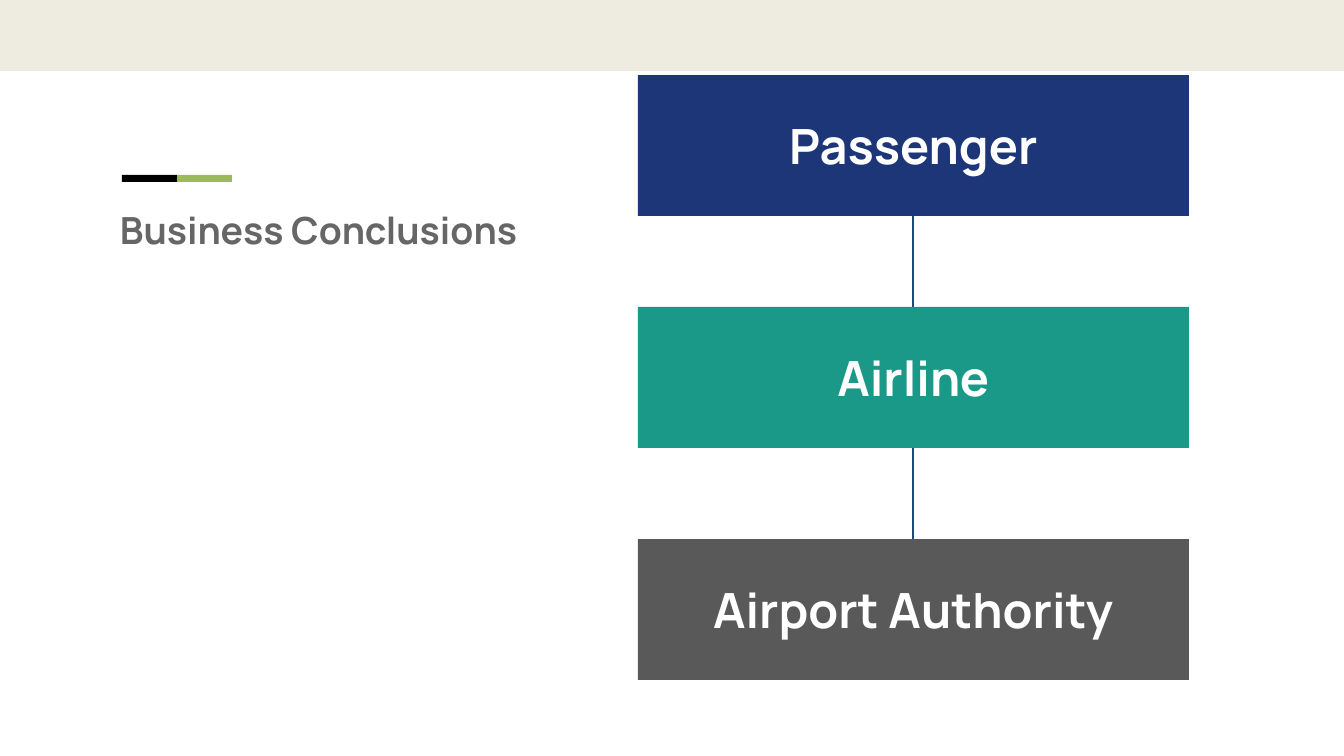
from dataclasses import dataclass

from lxml import etree
from pptx import Presentation
from pptx.dml.color import RGBColor
from pptx.enum.shapes import MSO_CONNECTOR, MSO_SHAPE
from pptx.enum.text import MSO_ANCHOR, MSO_AUTO_SIZE, PP_ALIGN
from pptx.oxml.ns import qn
from pptx.shapes.autoshape import Shape
from pptx.slide import Slide
from pptx.util import Emu, Pt

RECT, LINE = MSO_SHAPE.RECTANGLE, MSO_CONNECTOR.STRAIGHT
TOP, MIDDLE = MSO_ANCHOR.TOP, MSO_ANCHOR.MIDDLE
LEFT, CENTER = PP_ALIGN.LEFT, PP_ALIGN.CENTER
FIXED = MSO_AUTO_SIZE.NONE

WHITE = RGBColor(0xFF, 0xFF, 0xFF)
BLACK = RGBColor(0x00, 0x00, 0x00)
SAND = RGBColor(0xEE, 0xEC, 0xE1)
GREEN = RGBColor(0x9B, 0xBB, 0x59)
NAVY = RGBColor(0x1C, 0x36, 0x78)
TEAL = RGBColor(0x1A, 0x99, 0x88)
SLATE = RGBColor(0x59, 0x59, 0x59)
GREY = RGBColor(0x66, 0x66, 0x66)
BLUE = RGBColor(0x1F, 0x49, 0x7D)

SCALE = 6804
WIDTH, HEIGHT = 1344, 756
BOX_X, BOX_Y, BOX_W, BOX_H, STEP = 638, 75, 551, 141, 232


def px(count: int) -> Emu:
    """Turn whole pixels into EMU."""
    return Emu(count * SCALE)


FRAME = {
    "margin_left": px(13),
    "margin_right": px(13),
    "margin_top": px(13),
    "margin_bottom": px(13),
    "word_wrap": True,
    "auto_size": FIXED,
}
FONT = {"name": "Manrope", "bold": True}


@dataclass(frozen=True)
class Block:
    """A filled rectangle measured in pixels."""

    x: int
    y: int
    w: int
    h: int
    fill: RGBColor


@dataclass(frozen=True)
class Party:
    """One party in the chain."""

    name: str
    fill: RGBColor


BLOCKS = (
    Block(0, 0, WIDTH, 71, SAND),
    Block(177, 175, 55, 7, GREEN),
    Block(122, 175, 55, 7, BLACK),
)
CHAIN = (
    Party("Passenger", NAVY),
    Party("Airline", TEAL),
    Party("Airport Authority", SLATE),
)


def apply(target: object, values: dict[str, object]) -> None:
    """Set each named attribute on the target."""
    for name, value in values.items():
        setattr(target, name, value)


def write(shape: Shape, text: str, size: int, color: RGBColor,
          align: PP_ALIGN, anchor: MSO_ANCHOR) -> None:
    """Put one formatted line of text in a shape."""
    frame = shape.text_frame
    apply(frame, FRAME | {"vertical_anchor": anchor})
    line = frame.paragraphs[0]
    line.alignment = align
    run = line.add_run()
    run.text = text
    apply(run.font, FONT | {"size": Pt(size)})
    run.font.color.rgb = color


def draw_block(slide: Slide, block: Block) -> Shape:
    """Draw a plain rectangle."""
    shape = slide.shapes.add_shape(
        RECT, px(block.x), px(block.y), px(block.w), px(block.h))
    shape.shadow.inherit = False
    shape.fill.solid()
    shape.fill.fore_color.rgb = block.fill
    shape.line.fill.background()
    return shape


def draw_link(slide: Slide, x: int, top: int, end: int) -> None:
    """Draw a thin vertical line."""
    link = slide.shapes.add_connector(LINE, px(x), px(top), px(x), px(end))
    link.line.color.rgb = BLUE
    link.line.width = Pt(0.75)
    etree.SubElement(link._element.spPr, qn("a:effectLst"))


def draw_chain(slide: Slide) -> None:
    """Draw the parties from top to bottom with links between."""
    for rank, party in enumerate(CHAIN):
        y = BOX_Y + rank * STEP
        if rank:
            draw_link(slide, BOX_X + BOX_W // 2, y - STEP + BOX_H, y)
        box = draw_block(slide, Block(BOX_X, y, BOX_W, BOX_H, party.fill))
        write(box, party.name, 26, WHITE, CENTER, MIDDLE)


def draw_title(slide: Slide) -> None:
    """Place and fill the title."""
    title = slide.shapes.title
    apply(title, {"left": px(107), "top": px(194),
                  "width": px(485), "height": px(203)})
    write(title, "Business Conclusions", 20, GREY, LEFT, TOP)


def main() -> None:
    """Build and save the slide."""
    deck = Presentation()
    apply(deck, {"slide_width": px(WIDTH), "slide_height": px(HEIGHT)})
    slide = deck.slides.add_slide(deck.slide_layouts.get_by_name("Title Only"))
    for block in BLOCKS:
        draw_block(slide, block)
    draw_title(slide)
    draw_chain(slide)
    deck.save("out.pptx")


if __name__ == "__main__":
    main()
